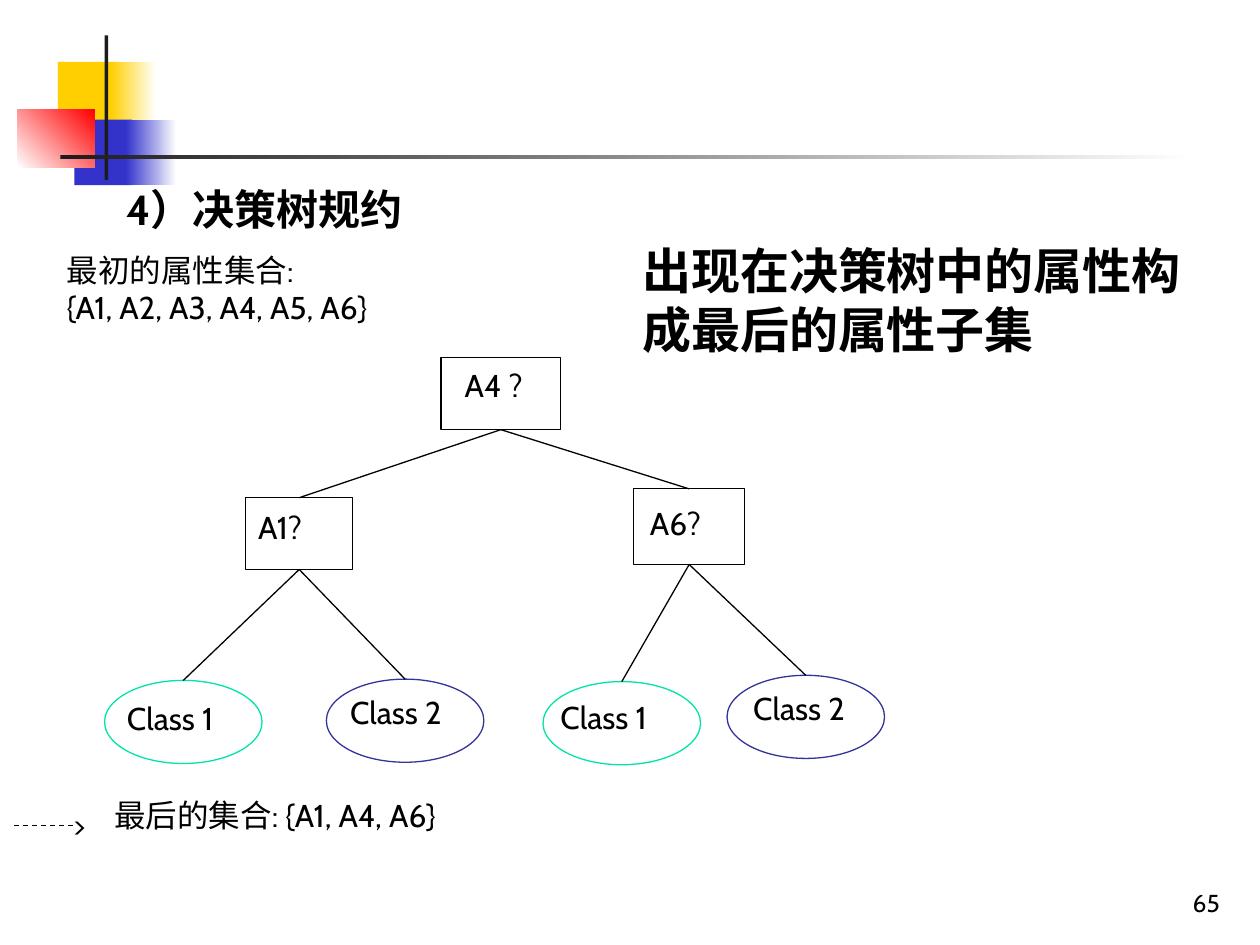
from typing import NamedTuple

from lxml import etree
from pptx import Presentation
from pptx import util as u
from pptx.dml.color import RGBColor
from pptx.enum import dml, shapes, text
from pptx.oxml.ns import qn

FONT = "Cabin"
COLORS = {
    "black": "000000", "white": "FFFFFF", "ink": "1C1C1C",
    "yellow": "FFCF01", "blue": "3333CC", "red": "FF0000",
    "class1": "00E4A8", "class2": "333399",
}


class Box(NamedTuple):
    left: float
    top: float
    width: float
    height: float


class Block(NamedTuple):
    box: Box
    start: str
    end: str = ""  # second gradient colour; empty for a solid fill
    angle: int = 0


class Node(NamedTuple):
    box: Box
    label: str
    label_box: Box
    color: str = "black"
    children: tuple = ()


class Label(NamedTuple):
    box: Box
    lines: tuple
    size: int = 18
    bold: bool = False
    align: text.PP_ALIGN = text.PP_ALIGN.LEFT
    anchor: text.MSO_ANCHOR = text.MSO_ANCHOR.TOP


def rgb(name: str) -> RGBColor:
    return RGBColor.from_string(COLORS[name])


def inches(box: Box) -> list:
    return [u.Inches(v) for v in box]


def fill_text(sp, label: Label) -> None:
    sp.left, sp.top, sp.width, sp.height = inches(label.box)
    tf = sp.text_frame
    tf.word_wrap = True
    tf.auto_size = text.MSO_AUTO_SIZE.NONE
    tf.vertical_anchor = label.anchor
    for i, line in enumerate(label.lines):
        p = tf.add_paragraph() if i else tf.paragraphs[0]
        p.alignment = label.align
        r = p.add_run()
        r.text = line
        r.font.name, r.font.size, r.font.bold = FONT, u.Pt(label.size), label.bold
        r.font.color.rgb = rgb("black")


def add_label(s, label: Label) -> None:
    fill_text(s.shapes.add_textbox(*inches(label.box)), label)


def add_block(s, block: Block) -> None:
    sp = s.shapes.add_shape(shapes.MSO_SHAPE.RECTANGLE, *inches(block.box))
    sp.shadow.inherit = False
    sp.line.fill.background()
    if not block.end:
        sp.fill.solid()
        sp.fill.fore_color.rgb = rgb(block.start)
        return
    sp.fill.gradient()
    sp.fill.gradient_angle = block.angle
    for stop, color in zip(sp.fill.gradient_stops, (block.start, block.end)):
        stop.color.rgb = rgb(color)


def add_line(s, x1: float, y1: float, x2: float, y2: float):
    cx = s.shapes.add_connector(shapes.MSO_CONNECTOR.STRAIGHT,
                                *[u.Inches(v) for v in (x1, y1, x2, y2)])
    cx.line.color.rgb = rgb("black")
    cx.line.width = u.Pt(0.75)
    etree.SubElement(cx._element.spPr, qn("a:effectLst"))
    return cx


def add_node(s, node: Node):
    """Draw a node and its subtree; inner nodes are boxes, leaves are ovals."""
    kind = shapes.MSO_SHAPE.RECTANGLE if node.children else shapes.MSO_SHAPE.OVAL
    sp = s.shapes.add_shape(kind, *inches(node.box))
    sp.shadow.inherit = False
    sp.fill.background()
    sp.line.color.rgb = rgb(node.color)
    sp.line.width = u.Pt(0.75)
    add_label(s, Label(node.label_box, (node.label,)))
    for child in node.children:
        child_sp = add_node(s, child)
        branch = add_line(s, 0, 0, 1, 1)
        branch.begin_connect(sp, 2)
        branch.end_connect(child_sp, 0)
    return sp


def leaf(number: int, left: float, top: float, text_left: float, text_top: float) -> Node:
    return Node(Box(left, top, 1.25, 0.66), f"Class {number}",
                Box(text_left, text_top, 1.17, 0.5), f"class{number}")


DECORATION = [
    Block(Box(0.46, 0.49, 0.48, 0.52), "yellow"),
    Block(Box(0.88, 0.49, 0.36, 0.52), "yellow", "white"),
    Block(Box(0.59, 0.95, 0.46, 0.52), "blue"),
    Block(Box(1, 0.95, 0.4, 0.52), "blue", "white"),
    Block(Box(0.14, 0.87, 0.61, 0.46), "white", "red", 45),
    Block(Box(0.83, 0.28, 0.03, 1.15), "ink"),
    Block(Box(0.48, 1.23, 9, 0.03), "ink", "white"),
]

TREE = Node(Box(3.5, 2.84, 0.95, 0.57), "A4 ?", Box(3.59, 2.86, 0.97, 0.5), children=(
    Node(Box(1.95, 3.95, 0.85, 0.57), "A1?", Box(1.95, 3.98, 0.76, 0.5), children=(
        leaf(1, 0.83, 5.4, 0.91, 5.5),
        leaf(2, 2.59, 5.39, 2.68, 5.45))),
    Node(Box(5.03, 3.88, 0.88, 0.6), "A6?", Box(5.06, 3.95, 0.76, 0.5), children=(
        leaf(1, 4.31, 5.41, 4.35, 5.49),
        leaf(2, 5.77, 5.36, 5.88, 5.42))),
))

TITLE = Label(Box(0.9, 0.96, 8.19, 0.95), ("4）决策树规约",), 24, True,
              anchor=text.MSO_ANCHOR.BOTTOM)
LABELS = [
    Label(Box(5, 1.86, 4.73, 1.03), ("出现在决策树中的属性构成最后的属性子集",), 28, True),
    Label(Box(0.43, 1.94, 3.8, 0.9), ("最初的属性集合:", "{A1, A2, A3, A4, A5, A6}")),
    Label(Box(0.48, 6.35, 0.34, 0.4), (">",)),
    Label(Box(0.81, 6.27, 4, 0.5), ("最后的集合: {A1, A4, A6}",)),
    Label(Box(7.7, 6.83, 2.08, 0.5), ("65",), 14, False,
          text.PP_ALIGN.RIGHT, text.MSO_ANCHOR.BOTTOM),
]


def main() -> None:
    prs = Presentation()
    prs.slide_width, prs.slide_height = u.Inches(10), u.Inches(7.5)
    s = prs.slides.add_slide(prs.slide_layouts[5])

    # Corner decoration and title
    for block in DECORATION:
        add_block(s, block)
    fill_text(s.shapes.title, TITLE)

    # Decision tree
    add_node(s, TREE)

    # Dashed arrow shaft and remaining text
    shaft = add_line(s, 0.11, 6.55, 0.58, 6.55)
    shaft.line.dash_style = dml.MSO_LINE.DASH
    for label in LABELS:
        add_label(s, label)

    prs.save("out.pptx")


if __name__ == "__main__":
    main()
